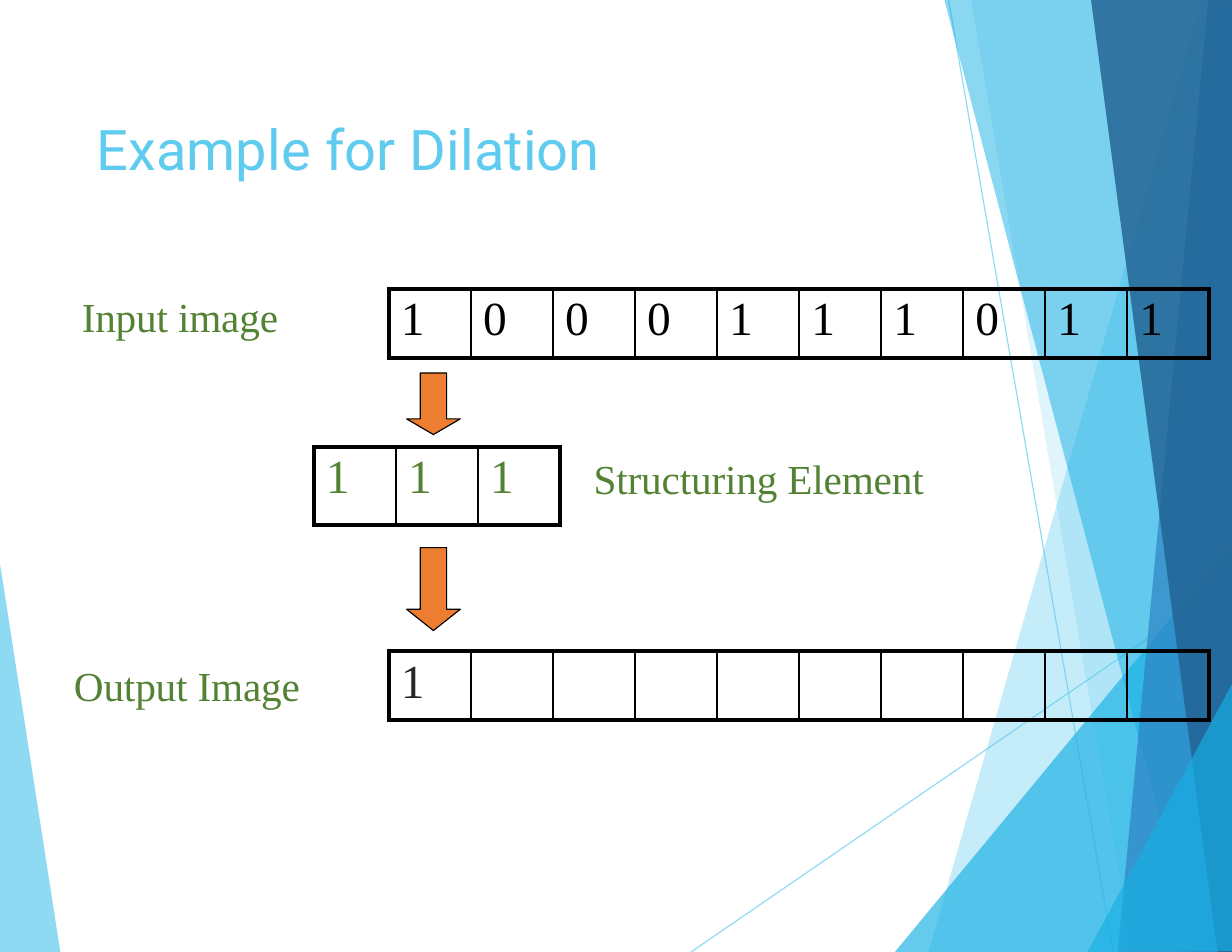
from dataclasses import dataclass

import lxml.etree
import pptx
import pptx.dml.color
import pptx.enum.shapes
import pptx.enum.text
import pptx.oxml
import pptx.oxml.ns
import pptx.util

PX = 9144
SERIF = "Times New Roman"
SKY, CYAN, GREEN, BLACK = "5FCBEF", "17B0E4", "548235", "000000"
THIN, THICK = 1.5, 3


@dataclass
class Facet:
    points: list[tuple[int, int]]
    color: str
    opacity: int


@dataclass
class Strip:
    left: int
    top: int
    width: int
    height: int
    values: list[str]
    color: str
    inset: int = 4
    before: float = 3.1


@dataclass
class Label:
    text: str
    left: int
    top: int
    width: int


@dataclass
class Arrow:
    top: int
    height: int
    head: int


LEFT_FACET = Facet([(-1, 497), (54, 851), (-1, 850)], SKY, 70)
RIGHT_FACETS = [
    Facet([(1073, 0), (829, 850), (1102, 851), (1101, 1)], SKY, 36),
    Facet([(867, -1), (1011, 850), (1101, 850), (1101, -1)], SKY, 20),
    Facet([(799, 850), (1100, 486), (1101, 850)], CYAN, 66),
    Facet([(843, -1), (1067, 850), (1101, 849), (1101, -1)], CYAN, 50),
    Facet([(1079, -1), (998, 850), (1101, 850), (1100, -1)], "2E83C3", 70),
    Facet([(974, -1), (1087, 850), (1102, 850), (1100, -1)], "226292", 82),
    Facet([(971, 850), (1102, 607), (1102, 849)], CYAN, 66),
]
RAYS = [(617, 850, 1101, 518), (847, 0, 994, 850)]
LABELS = [
    Label("Input image", 72, 259, 179),
    Label("Structuring Element", 529, 404, 299),
    Label("Output Image", 65, 589, 205),
]
STRIPS = [
    Strip(347, 258, 733, 62, list("1000111011"), BLACK),
    Strip(280, 399, 220, 70, list("111"), GREEN),
    Strip(347, 581, 733, 62, ["1"] + [""] * 9, "262626", 5, 3.9),
]
ARROWS = [Arrow(333, 55, 14), Arrow(489, 74, 19)]
ARROW_LEFT, ARROW_WIDTH = 363, 48


def paint(fill_or_line, color: str, opacity: int = 100) -> None:
    fill_or_line.solid()
    fill_or_line.fore_color.rgb = pptx.dml.color.RGBColor.from_string(color)
    if opacity < 100:
        solid = fill_or_line._xPr.find(pptx.oxml.ns.qn("a:solidFill"))
        alpha = lxml.etree.SubElement(solid[0], pptx.oxml.ns.qn("a:alpha"))
        alpha.set("val", str(opacity * 1000))


def write(frame, text: str, *, font: str, size: float, color: str,
          before: float, spacing: int = 0) -> None:
    para = frame.paragraphs[0]
    para.alignment = pptx.enum.text.PP_ALIGN.LEFT
    para.space_before = pptx.util.Pt(before)
    span = para.add_run()
    span.text = text
    span.font.name = font
    span.font.size = pptx.util.Pt(size)
    paint(span.font.fill, color)
    if spacing:
        span._r.get_or_add_rPr().set("spc", str(spacing))


def set_frame(frame, top: int) -> None:
    frame.word_wrap = True
    frame.auto_size = pptx.enum.text.MSO_AUTO_SIZE.SHAPE_TO_FIT_TEXT
    frame.vertical_anchor = pptx.enum.text.MSO_ANCHOR.TOP
    frame.margin_left, frame.margin_top = PX, top * PX
    frame.margin_right = frame.margin_bottom = 0


def draw_facet(page, facet: Facet) -> None:
    builder = page.shapes.build_freeform(*facet.points[0], scale=PX)
    builder.add_line_segments(facet.points[1:], close=True)
    shape = builder.convert_to_shape()
    shape.shadow.inherit = False
    paint(shape.fill, facet.color, facet.opacity)
    shape.line.fill.background()


def draw_ray(page, ends: tuple[int, int, int, int]) -> None:
    ray = page.shapes.add_connector(
        pptx.enum.shapes.MSO_CONNECTOR.STRAIGHT, *(end * PX for end in ends))
    ray.line.width = pptx.util.Pt(0.75)
    paint(ray.line.fill, SKY, 70)
    lxml.etree.SubElement(ray._element.spPr, pptx.oxml.ns.qn("a:effectLst"))


def draw_title(page, text: str) -> None:
    title = page.shapes.title
    page.shapes.element.append(title.element)
    title.left, title.top, title.width, title.height = (
        85 * PX, 100 * PX, 623 * PX, 63 * PX)
    set_frame(title.text_frame, 2)
    write(title.text_frame, text, font="Roboto", size=36, color=SKY,
          before=1.4, spacing=10)


def draw_label(page, label: Label) -> None:
    box = page.shapes.add_textbox(
        label.left * PX, label.top * PX, label.width * PX, 47 * PX)
    set_frame(box.text_frame, 1)
    write(box.text_frame, label.text, font=SERIF, size=26.5, color=GREEN,
          before=0.9, spacing=-10)


def set_borders(cell, widths: dict[str, float]) -> None:
    properties = cell._tc.get_or_add_tcPr()
    for position, (side, width) in enumerate(widths.items()):
        properties.insert(position, pptx.oxml.parse_xml(
            f'<a:ln{side} {pptx.oxml.ns.nsdecls("a")} w="{pptx.util.Pt(width)}">'
            f'<a:solidFill><a:srgbClr val="{BLACK}"/></a:solidFill>'
            f'<a:prstDash val="solid"/></a:ln{side}>'))


def draw_strip(page, strip: Strip) -> None:
    count = len(strip.values)
    table = page.shapes.add_table(
        1, count, strip.left * PX, strip.top * PX,
        strip.width * PX, strip.height * PX).table
    table.first_row = table.horz_banding = False
    for index, value in enumerate(strip.values):
        table.columns[index].width = strip.width * PX // count
        cell = table.cell(0, index)
        cell.margin_left, cell.margin_top = 11 * PX, strip.inset * PX
        cell.margin_right = cell.margin_bottom = 0
        cell.fill.background()
        set_borders(cell, {
            "L": THICK if index == 0 else THIN,
            "R": THICK if index == count - 1 else THIN,
            "T": THICK,
            "B": THICK,
        })
        if value:
            write(cell.text_frame, value, font=SERIF, size=30.5,
                  color=strip.color, before=strip.before)


def draw_arrow(page, arrow: Arrow) -> None:
    shape = page.shapes.add_shape(
        pptx.enum.shapes.MSO_SHAPE.DOWN_ARROW, ARROW_LEFT * PX, arrow.top * PX,
        ARROW_WIDTH * PX, arrow.height * PX)
    shape.adjustments[0] = 0.49
    shape.adjustments[1] = arrow.head / ARROW_WIDTH
    shape.shadow.inherit = False
    paint(shape.fill, "ED7D31")
    paint(shape.line.fill, BLACK)
    shape.line.width = pptx.util.Pt(0.75)


def main() -> None:
    deck = pptx.Presentation()
    deck.slide_width, deck.slide_height = 1100 * PX, 850 * PX
    page = deck.slides.add_slide(deck.slide_layouts[5])
    draw_facet(page, LEFT_FACET)
    for ray in RAYS:
        draw_ray(page, ray)
    for facet in RIGHT_FACETS:
        draw_facet(page, facet)
    draw_title(page, "Example for Dilation")
    for label in LABELS:
        draw_label(page, label)
    for strip in STRIPS:
        draw_strip(page, strip)
    for arrow in ARROWS:
        draw_arrow(page, arrow)
    deck.save("out.pptx")


if __name__ == "__main__":
    main()
